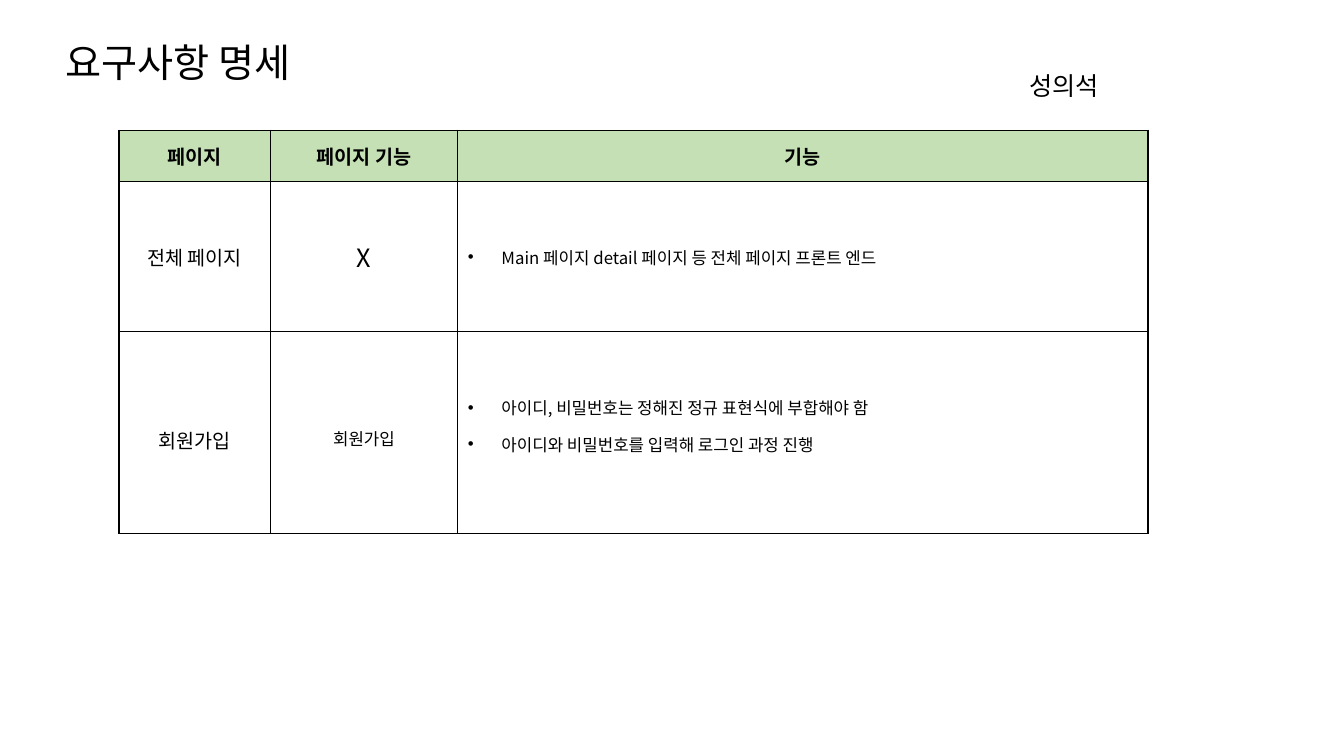
from lxml.etree import SubElement
from pptx import Presentation
from pptx.dml.color import RGBColor as Color
from pptx.enum.text import MSO_ANCHOR as Anchor, PP_ALIGN as Align
from pptx.oxml import parse_xml
from pptx.oxml.ns import nsdecls, qn
from pptx.util import Pt

# Content
TITLE = "요구사항 명세"
AUTHOR = "성의석"
HEADER = ["페이지", "페이지 기능", "기능"]
ROWS = [
    # page, page function, bullet lines, function text size, line spacing
    ("전체 페이지", "X", ["Main 페이지 detail 페이지 등 전체 페이지 프론트 엔드"], 18, 1),
    ("회원가입", "회원가입", ["아이디, 비밀번호는 정해진 정규 표현식에 부합해야 함",
                        "아이디와 비밀번호를 입력해 로그인 과정 진행"], 12, 1.5),
]

# Layout, in points
FONT = "Noto Sans CJK KR"
COLORS = {"text": "000000", "border": "000000", "header": "C5E0B4", "body": "FFFFFF"}
TABLE_LEFT, TABLE_TOP = 85, 93
COLUMN_WIDTHS = [108, 134, 493]
ROW_HEIGHTS = [36.8, 107.2, 144]
BULLET_INDENT = 24
LOWER_MARGIN = 22


def write(frame, lines, size=14, bold=False, align=Align.LEFT, spacing=1, bullet=False):
    """Fill a text frame with one paragraph per line."""
    for index, line in enumerate(lines):
        para = frame.paragraphs[0] if index == 0 else frame.add_paragraph()
        para.alignment = align
        para.line_spacing = spacing
        if bullet:
            props = para._p.get_or_add_pPr()
            props.set("marL", str(Pt(BULLET_INDENT)))
            props.set("indent", str(-Pt(BULLET_INDENT)))
            SubElement(props, qn("a:buFont"), typeface="Arial")
            SubElement(props, qn("a:buChar"), char="•")
        span = para.add_run()
        span.text = line
        span.font.name = FONT
        span.font.size = Pt(size)
        span.font.bold = bold
        span.font.color.rgb = Color.from_string(COLORS["text"])
        SubElement(span._r.get_or_add_rPr(), qn("a:ea"), typeface=FONT)


def add_text(page, text, left, top, width, height, anchor=Anchor.TOP, **style):
    box = page.shapes.add_textbox(Pt(left), Pt(top), Pt(width), Pt(height))
    box.text_frame.word_wrap = True
    box.text_frame.vertical_anchor = anchor
    write(box.text_frame, [text], **style)


def format_cell(cell, fill):
    cell.vertical_anchor = Anchor.MIDDLE
    cell.fill.solid()
    cell.fill.fore_color.rgb = Color.from_string(fill)
    for index, side in enumerate(["lnL", "lnR", "lnT", "lnB"]):
        border = parse_xml(
            f'<a:{side} {nsdecls("a")} w="{Pt(1)}"><a:solidFill>'
            f'<a:srgbClr val="{COLORS["border"]}"/></a:solidFill></a:{side}>')
        cell._tc.get_or_add_tcPr().insert(index, border)


def main():
    deck = Presentation()
    deck.slide_width, deck.slide_height = Pt(960), Pt(540)
    page = deck.slides.add_slide(deck.slide_layouts[6])

    # Title and author
    add_text(page, TITLE, 39.6, 8.6, 235.4, 75.6, anchor=Anchor.MIDDLE, size=28, spacing=0.9)
    add_text(page, AUTHOR, 728, 46.8, 92, 29, size=18)

    # Table grid
    table = page.shapes.add_table(
        len(ROW_HEIGHTS), len(COLUMN_WIDTHS), Pt(TABLE_LEFT), Pt(TABLE_TOP),
        Pt(sum(COLUMN_WIDTHS)), Pt(sum(ROW_HEIGHTS))).table
    table.horz_banding = False
    for column, width in zip(table.columns, COLUMN_WIDTHS):
        column.width = Pt(width)
    for row, height in zip(table.rows, ROW_HEIGHTS):
        row.height = Pt(height)
    for index, row in enumerate(table.rows):
        for cell in row.cells:
            format_cell(cell, COLORS["body" if index else "header"])

    # Header row
    for column, label in enumerate(HEADER):
        write(table.cell(0, column).text_frame, [label], bold=True, align=Align.CENTER)

    # Body rows
    for index, (name, function, details, size, spacing) in enumerate(ROWS, start=1):
        cells = [table.cell(index, column) for column in range(3)]
        write(cells[0].text_frame, [name], align=Align.CENTER, spacing=spacing)
        write(cells[1].text_frame, [function], size=size, align=Align.CENTER, spacing=spacing)
        write(cells[2].text_frame, details, size=12, spacing=spacing, bullet=True)
    table.cell(2, 2).margin_bottom = Pt(LOWER_MARGIN)

    deck.save("out.pptx")


if __name__ == "__main__":
    main()
